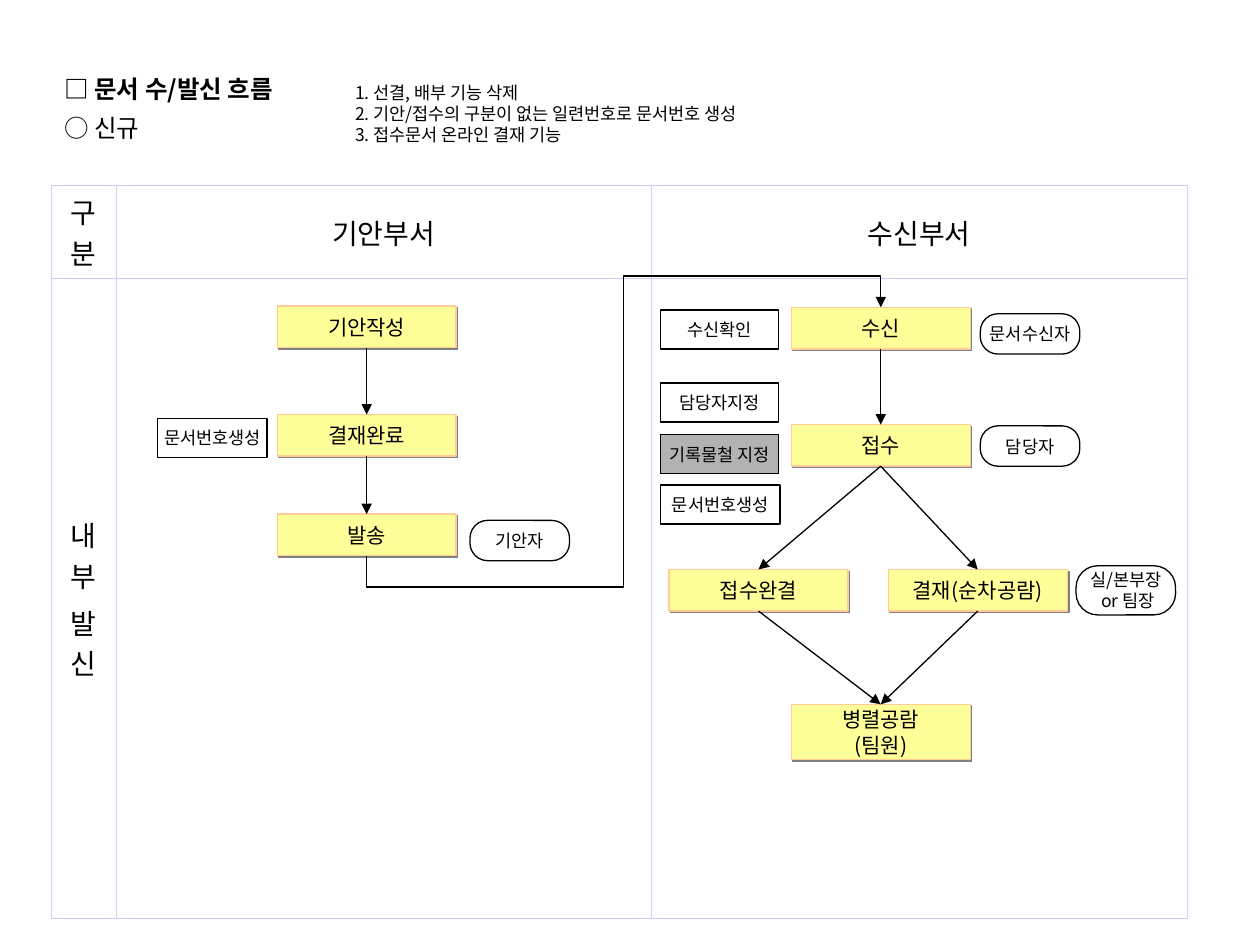
"""Build the document receiving and sending flow slide."""
from dataclasses import dataclass

from pptx import Presentation
from pptx import util as u
from pptx.dml.color import RGBColor
from pptx.enum import shapes, text
from pptx.oxml import parse_xml
from pptx.oxml.ns import nsdecls, qn

FONT = "Noto Sans CJK KR"
COLORS = {
    "ink": "000000",
    "grid": "CCCCFF",
    "step": "FFFF99",
    "step_line": "FFCC99",
    "shadow": "808080",
    "highlight": "B2B2B2",
}
STEP_WIDTH = 1.42
SIDE_LEFT = 5.24


@dataclass(frozen=True)
class Box:
    """A labelled box, measured in inches."""

    lines: tuple[str, ...]
    left: float
    top: float
    width: float
    height: float
    fill: str | None = None


def step(label: str, left: float, top: float, height: float = 0.33) -> Box:
    """Describe one yellow step of the flow."""
    return Box(tuple(label.split("\n")), left, top, STEP_WIDTH, height, "step")


STEPS = {
    "draft": step("기안작성", 2.2, 2.43),
    "approved": step("결재완료", 2.2, 3.29),
    "send": step("발송", 2.2, 4.08),
    "receive": step("수신", 6.28, 2.44),
    "register": step("접수", 6.28, 3.37),
    "circulate": step("결재(순차공람)", 7.05, 4.52),
    "share": step("병렬공람\n(팀원)", 6.28, 5.59, 0.44),
    "close": step("접수완결", 5.31, 4.52),
}
LINKS = (
    ("draft", "approved"),
    ("approved", "send"),
    ("receive", "register"),
    ("register", "close"),
    ("register", "circulate"),
    ("circulate", "share"),
    ("close", "share"),
)
TASKS = (
    Box(("문서번호생성",), 1.25, 3.32, 0.87, 0.31),
    Box(("수신확인",), SIDE_LEFT, 2.46, 0.94, 0.31),
    Box(("담당자지정",), SIDE_LEFT, 3.04, 0.94, 0.31),
    Box(("기록물철 지정",), SIDE_LEFT, 3.45, 0.94, 0.31, "highlight"),
    Box(("문서번호생성",), SIDE_LEFT, 3.85, 0.95, 0.31),
)
ROLES = (
    Box(("기안자",), 3.73, 4.13, 0.79, 0.32),
    Box(("문서수신자",), 7.78, 2.49, 0.79, 0.32),
    Box(("담당자",), 7.78, 3.38, 0.79, 0.32),
    Box(("실/본부장", " or 팀장"), 8.54, 4.49, 0.79, 0.39),
)
NOTES = (
    "1. 선결, 배부 기능 삭제",
    "2. 기안/접수의 구분이 없는 일련번호로 문서번호 생성",
    "3. 접수문서 온라인 결재 기능",
)


def rgb(name: str) -> RGBColor:
    """Look up a named colour."""
    return RGBColor.from_string(COLORS[name])


def add_run(paragraph, content: str, size: float, bold: bool = False) -> None:
    """Append one formatted run."""
    run = paragraph.add_run()
    run.text = content
    run.font.name, run.font.size, run.font.bold = FONT, u.Pt(size), bold
    run.font.color.rgb = rgb("ink")
    latin = run.font._element.find(qn("a:latin"))
    latin.addnext(parse_xml(f'<a:ea {nsdecls("a")} typeface="{FONT}"/>'))


def add_lines(frame, lines, size: float, align=text.PP_ALIGN.CENTER, before: float = 0) -> None:
    """Write one paragraph for each line."""
    for index, content in enumerate(lines):
        paragraph = frame.add_paragraph() if index else frame.paragraphs[0]
        paragraph.alignment = align
        paragraph.space_before = u.Pt(before)
        add_run(paragraph, content, size)


def add_effects(shape, content: str = "") -> None:
    """Give a shape its own effect list."""
    shape._element.spPr.append(parse_xml(f'<a:effectLst {nsdecls("a")}>{content}</a:effectLst>'))


def add_box(slide, box: Box, kind, size: float, line: str = "ink"):
    """Draw a labelled box."""
    shape = slide.shapes.add_shape(
        kind, u.Inches(box.left), u.Inches(box.top), u.Inches(box.width), u.Inches(box.height))
    if box.fill:
        shape.fill.solid()
        shape.fill.fore_color.rgb = rgb(box.fill)
    else:
        shape.fill.background()
    shape.line.color.rgb = rgb(line)
    shape.line.width = u.Pt(0.75)
    if box.fill == "step":
        add_effects(shape, f'<a:outerShdw dist="{u.Pt(1.4)}" dir="2700000" algn="ctr" rotWithShape="0">'
                           f'<a:srgbClr val="{COLORS["shadow"]}"/></a:outerShdw>')
    else:
        shape.shadow.inherit = False
    frame = shape.text_frame
    frame.word_wrap = False
    frame.vertical_anchor = text.MSO_ANCHOR.MIDDLE
    add_lines(frame, box.lines, size)
    return shape


def add_arrow(slide, kind, start: tuple[int, int], end: tuple[int, int]):
    """Draw a connector with an arrowhead at its end."""
    connector = slide.shapes.add_connector(kind, *start, *end)
    connector.line.color.rgb = rgb("ink")
    connector.line.width = u.Pt(0.75)
    connector.line._get_or_add_ln().append(parse_xml(f'<a:tailEnd {nsdecls("a")} type="triangle"/>'))
    add_effects(connector)
    return connector


def add_link(slide, source, target) -> None:
    """Join the bottom of one step to the top of another."""
    start = (source.left + source.width // 2, source.top + source.height)
    end = (target.left + target.width // 2, target.top)
    connector = add_arrow(slide, shapes.MSO_CONNECTOR.STRAIGHT, start, end)
    connector.begin_connect(source, 2)
    connector.end_connect(target, 0)


def add_detour(slide, source, target) -> None:
    """Lead down from one step, up between the columns and down into another."""
    x1, y1 = source.left + source.width // 2, source.top + source.height
    x2, y2 = target.left + target.width // 2, target.top
    middle_x, middle_y = (x1 + x2) // 2, (y1 + y2) // 2
    half_width, half_height = (y1 - y2) // 2, (x2 - x1) // 2
    connector = add_arrow(
        slide, shapes.MSO_CONNECTOR.ELBOW,
        (middle_x + half_width, middle_y + half_height),
        (middle_x - half_width, middle_y - half_height))
    properties = connector._element.spPr
    properties.find(qn("a:xfrm")).set("rot", "5400000")
    geometry = properties.find(qn("a:prstGeom"))
    geometry.set("prst", "bentConnector5")
    guides = geometry.find(qn("a:avLst"))
    for index, value in enumerate((-12700, 50000, 112700), 1):
        guides.append(parse_xml(f'<a:gd {nsdecls("a")} name="adj{index}" fmla="val {value}"/>'))


def add_grid(slide) -> None:
    """Draw the table of departments."""
    rows = ((("구분",), ("기안부서",), ("수신부서",)), (("내부", "발신"), (), ()))
    table = slide.shapes.add_table(
        2, 3, u.Inches(0.41), u.Inches(1.47), u.Inches(9.01), u.Inches(5.45)).table
    table.first_row = table.horz_banding = False
    for column, width in zip(table.columns, (0.51, 4.25, 4.25)):
        column.width = u.Inches(width)
    for row, height, contents in zip(table.rows, (0.37, 5.08), rows):
        row.height = u.Inches(height)
        for cell, lines in zip(row.cells, contents):
            cell.vertical_anchor = text.MSO_ANCHOR.MIDDLE
            add_lines(cell.text_frame, lines, 16, before=4)
            properties = cell._tc.get_or_add_tcPr()
            for side in ("lnL", "lnR", "lnT", "lnB"):
                properties.append(parse_xml(
                    f'<a:{side} {nsdecls("a")} w="{u.Pt(0.45)}"><a:solidFill>'
                    f'<a:srgbClr val="{COLORS["grid"]}"/></a:solidFill></a:{side}>'))
            cell.fill.background()


def add_headings(slide) -> None:
    """Write the title and the numbered notes."""
    title = slide.shapes.title
    title.left, title.top, title.width, title.height = map(u.Inches, (0.51, 0.52, 2.83, 0.71))
    frame = title.text_frame
    frame.margin_left = frame.margin_right = frame.margin_top = frame.margin_bottom = 0
    frame.vertical_anchor = text.MSO_ANCHOR.TOP
    frame.auto_size = text.MSO_AUTO_SIZE.TEXT_TO_FIT_SHAPE
    paragraph = frame.paragraphs[0]
    paragraph.alignment, paragraph.line_spacing = text.PP_ALIGN.LEFT, 1.3
    add_run(paragraph, "□ 문서 수/발신 흐름", 14, True)
    paragraph.add_line_break()
    add_run(paragraph, "○ 신규", 14)
    notes = slide.shapes.add_textbox(*map(u.Inches, (2.72, 0.6, 4.37, 0.6))).text_frame
    notes.word_wrap = True
    add_lines(notes, NOTES, 10, text.PP_ALIGN.LEFT)
    for paragraph in notes.paragraphs:
        properties = paragraph._p.get_or_add_pPr()
        properties.set("marL", str(u.Inches(0.5)))
        properties.set("indent", str(-u.Inches(0.5)))


def main() -> None:
    """Assemble and save the slide."""
    presentation = Presentation()
    presentation.slide_width, presentation.slide_height = u.Inches(10), u.Inches(7.5)
    slide = presentation.slides.add_slide(presentation.slide_layouts[5])
    kinds = shapes.MSO_SHAPE
    add_grid(slide)
    steps = {name: add_box(slide, box, kinds.RECTANGLE, 12, "step_line") for name, box in STEPS.items()}
    for source, target in LINKS:
        add_link(slide, steps[source], steps[target])
    add_detour(slide, steps["send"], steps["receive"])
    add_headings(slide)
    for box in TASKS:
        add_box(slide, box, kinds.FLOWCHART_PROCESS, 10)
    for box in ROLES:
        add_box(slide, box, kinds.ROUNDED_RECTANGLE, 10).adjustments[0] = 0.44
    presentation.save("out.pptx")


if __name__ == "__main__":
    main()
